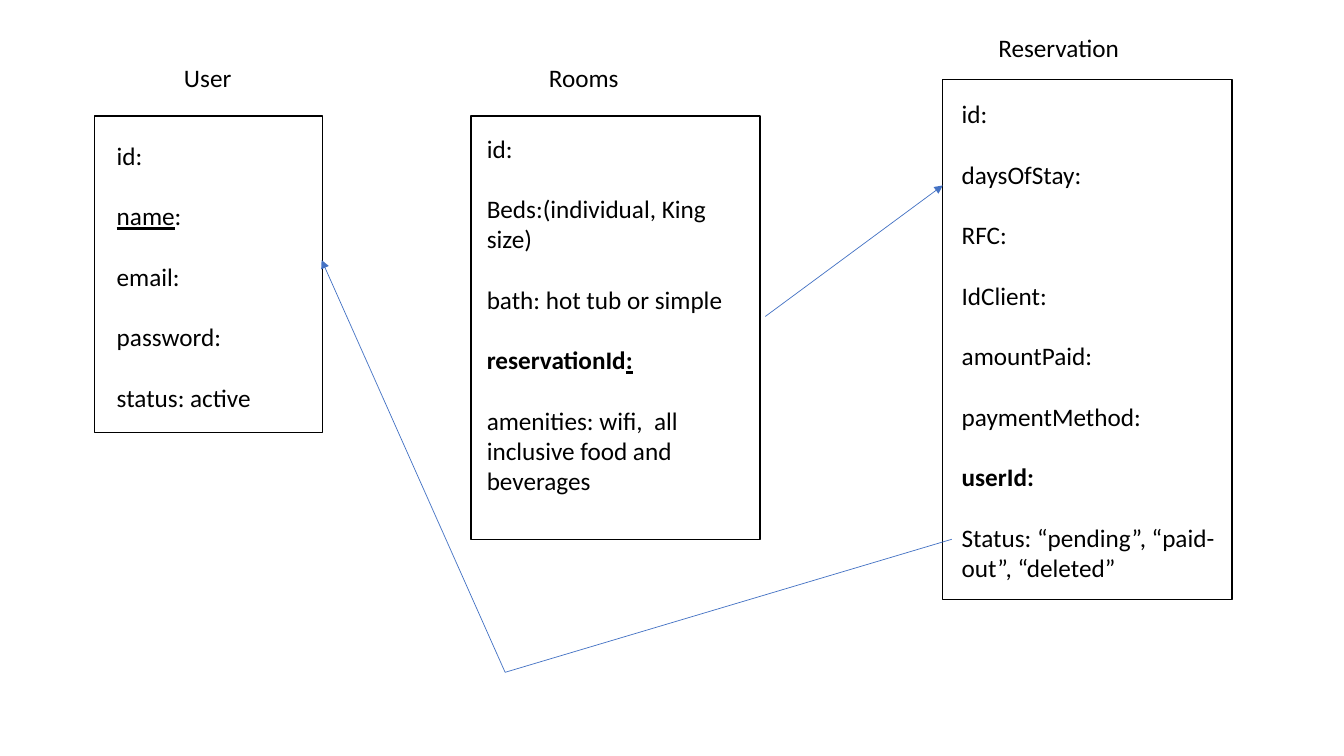
from lxml import etree
from pptx import Presentation
from pptx.dml.color import RGBColor
from pptx.enum.shapes import MSO_CONNECTOR, MSO_SHAPE
from pptx.enum.text import MSO_AUTO_SIZE, PP_ALIGN
from pptx.oxml.ns import qn
from pptx.util import Inches, Pt

BLACK = RGBColor(0x00, 0x00, 0x00)
WHITE = RGBColor(0xFF, 0xFF, 0xFF)
BLUE = RGBColor(0x44, 0x72, 0xC4)
RECTANGLE = MSO_SHAPE.RECTANGLE
STRAIGHT = MSO_CONNECTOR.STRAIGHT
GROW = MSO_AUTO_SIZE.SHAPE_TO_FIT_TEXT
LEFT, CENTER = PP_ALIGN.LEFT, PP_ALIGN.CENTER

BASE_FONT = {"name": "Calibri", "size": Pt(18)}
BOLD = {"bold": True}
UNDERLINE = {"underline": True}
FIELD_GAP = Pt(21.6)
TITLE_SIZE = (3.2, 0.4)

ENTITIES = [
    {
        "title": "Rooms",
        "box": (4.67, 1.15, 2.87, 4.2),
        "title_offset": (-0.48, -0.58),
        "fields_offset": (0.06, 0.12),
        "fields_size": (2.87, 3.74),
        "fields": [
            [("id:", {})],
            [("Beds:(individual, King size)", {})],
            [("bath: hot tub or simple", {})],
            [("reservationId", BOLD), (":", BOLD | UNDERLINE)],
            [("amenities: wifi,  all inclusive food and beverages", {})],
        ],
    },
    {
        "title": "User",
        "box": (0.94, 1.15, 2.26, 3.14),
        "title_offset": (-0.48, -0.58),
        "fields_offset": (0.12, 0.19),
        "fields_size": (2.13, 2.83),
        "fields": [
            [("id:", {})],
            [("name", UNDERLINE), (":", {})],
            [("email:", {})],
            [("password:", {})],
            [("status: active", {})],
        ],
    },
    {
        "title": "Reservation",
        "box": (9.35, 0.79, 2.87, 5.16),
        "title_offset": (-0.45, -0.52),
        "fields_offset": (0.09, 0.14),
        "fields_size": (2.87, 4.95),
        "fields": [
            [("id:", {})],
            [("daysOfStay:", {})],
            [("RFC:", {})],
            [("IdClient:", {})],
            [("amountPaid:", {})],
            [("paymentMethod:", {})],
            [("userId:", BOLD)],
            [("Status: “pending”, “paid-out”, “deleted”", {})],
        ],
    },
]

RELATIONS = [
    ((9.44, 5.35), (5.01, 6.67), False),
    ((5.01, 6.67), (3.19, 2.58), True),
    ((7.59, 3.14), (9.35, 1.84), True),
]


def add_text(page, box, paragraphs, alignment):
    """Add a text box whose paragraphs are lists of (text, format) spans."""
    frame = page.shapes.add_textbox(*map(Inches, box)).text_frame
    frame.word_wrap = True
    frame.auto_size = GROW
    for index, spans in enumerate(paragraphs):
        para = frame.add_paragraph() if index else frame.paragraphs[0]
        para.alignment = alignment
        para.space_before = FIELD_GAP if index else Pt(0)
        for text, extra in spans:
            span = para.add_run()
            span.text = text
            span.font.color.rgb = BLACK
            for name, value in (BASE_FONT | extra).items():
                setattr(span.font, name, value)


def add_entity(page, entity):
    """Draw one entity: its frame, the title above and the fields inside."""
    left, top = entity["box"][:2]
    frame = page.shapes.add_shape(RECTANGLE, *map(Inches, entity["box"]))
    frame.shadow.inherit = False
    frame.fill.solid()
    frame.fill.fore_color.rgb = WHITE
    frame.line.color.rgb = BLACK
    frame.line.width = Pt(1)
    blocks = [
        (entity["title_offset"], TITLE_SIZE, [[(entity["title"], {})]], CENTER),
        (entity["fields_offset"], entity["fields_size"], entity["fields"], LEFT),
    ]
    for (shift_x, shift_y), size, paragraphs, alignment in blocks:
        add_text(page, (left + shift_x, top + shift_y, *size), paragraphs, alignment)


def add_relation(page, start, end, has_arrow):
    """Draw a thin relation line, with an arrowhead at its end if asked."""
    relation = page.shapes.add_connector(STRAIGHT, *map(Inches, start + end))
    relation.line.color.rgb = BLUE
    relation.line.width = Pt(0.5)
    if has_arrow:
        outline = relation.line._get_or_add_ln()
        etree.SubElement(outline, qn("a:tailEnd"), type="triangle")
    etree.SubElement(relation._element.spPr, qn("a:effectLst"))


def main():
    """Build the entity diagram and save the deck."""
    deck = Presentation()
    deck.slide_width = Inches(13.33)
    deck.slide_height = Inches(7.5)
    page = deck.slides.add_slide(deck.slide_layouts[6])
    for entity in ENTITIES:
        add_entity(page, entity)
    for start, end, has_arrow in RELATIONS:
        add_relation(page, start, end, has_arrow)
    deck.save("out.pptx")


if __name__ == "__main__":
    main()
